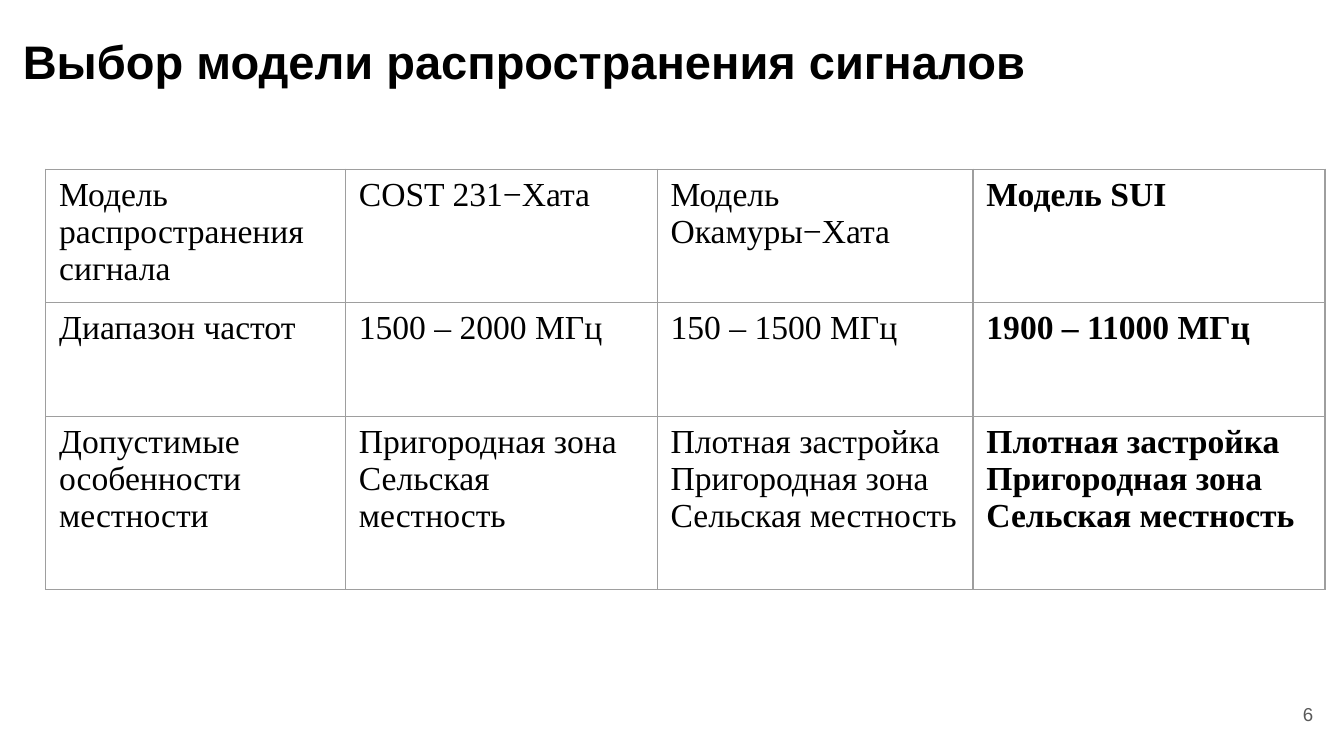
from typing import NamedTuple

from lxml import etree
from pptx import Presentation
from pptx.dml.color import RGBColor
from pptx.enum.text import MSO_ANCHOR, MSO_AUTO_SIZE, PP_ALIGN
from pptx.oxml.ns import qn
from pptx.util import Pt

TOP, MIDDLE = MSO_ANCHOR.TOP, MSO_ANCHOR.MIDDLE
LEFT, RIGHT = PP_ALIGN.LEFT, PP_ALIGN.RIGHT
NO_AUTOFIT = MSO_AUTO_SIZE.NONE
TITLE_ONLY = 5

BLACK, GREY, BORDER, WHITE = "000000", "595959", "9E9E9E", "FFFFFF"
INSET = 7.2
COLUMN_WIDTHS = (160.6, 167, 169.2, 188.6)
ROW_HEIGHTS = (71.3, 61.2, 92.5)


class Style(NamedTuple):
    font: str
    size: float
    color: str
    bold: bool = False


class Model(NamedTuple):
    """One table column; the first one holds the row headings."""
    name: str
    frequencies: str
    terrain: tuple[str, ...]
    chosen: bool = False


TITLE = Style("Arial", 25.2, BLACK, True)
NUMBER = Style("Arial", 10, GREY)
BODY = Style("Times New Roman", 18, BLACK)

SUBURB, RURAL, DENSE = "Пригородная зона", "Сельская местность", "Плотная застройка"
MODELS = (
    Model("Модель распространения сигнала", "Диапазон частот",
          ("Допустимые особенности местности",)),
    Model("COST 231−Хата", "1500 – 2000 МГц", (SUBURB, RURAL)),
    Model("Модель Окамуры−Хата", "150 – 1500 МГц", (DENSE, SUBURB, RURAL)),
    Model("Модель SUI", "1900 – 11000 МГц", (DENSE, SUBURB, RURAL), True),
)


def rgb(value: str) -> RGBColor:
    return RGBColor.from_string(value)


def write(frame, lines: tuple[str, ...], style: Style, align=LEFT) -> None:
    for index, line in enumerate(lines):
        paragraph = frame.paragraphs[0] if index == 0 else frame.add_paragraph()
        paragraph.alignment = align
        run = paragraph.add_run()
        run.text = line
        run.font.name = style.font
        run.font.size = Pt(style.size)
        run.font.bold = style.bold
        run.font.color.rgb = rgb(style.color)


def set_up_frame(frame, anchor) -> None:
    frame.word_wrap = True
    frame.auto_size = NO_AUTOFIT
    frame.vertical_anchor = anchor
    frame.margin_left = frame.margin_right = Pt(INSET)
    frame.margin_top = frame.margin_bottom = Pt(INSET)


def add_borders(cell) -> None:
    properties = cell._tc.get_or_add_tcPr()
    for index, side in enumerate(("a:lnL", "a:lnR", "a:lnT", "a:lnB")):
        line = etree.Element(qn(side), w=str(Pt(0.75)))
        fill = etree.SubElement(line, qn("a:solidFill"))
        etree.SubElement(fill, qn("a:srgbClr"), val=BORDER)
        properties.insert(index, line)


def add_title(slide, wording: str) -> None:
    title = slide.shapes.title
    title.left, title.top, title.width, title.height = Pt(5), Pt(7.2), Pt(671), Pt(45.4)
    set_up_frame(title.text_frame, TOP)
    write(title.text_frame, (wording,), TITLE)
    title.text_frame.paragraphs[0].line_spacing = 1.1


def add_slide_number(slide, number: int) -> None:
    box = slide.shapes.add_textbox(Pt(667.4), Pt(367.2), Pt(43.2), Pt(31))
    set_up_frame(box.text_frame, MIDDLE)
    write(box.text_frame, (str(number),), NUMBER, RIGHT)


def add_model_table(slide, models: tuple[Model, ...]) -> None:
    table = slide.shapes.add_table(
        len(ROW_HEIGHTS), len(models), Pt(24.5), Pt(90.7),
        Pt(sum(COLUMN_WIDTHS)), Pt(sum(ROW_HEIGHTS))).table
    table.first_row = table.horz_banding = False
    for row, height in zip(table.rows, ROW_HEIGHTS):
        row.height = Pt(height)
    for column, (model, width) in enumerate(zip(models, COLUMN_WIDTHS)):
        table.columns[column].width = Pt(width)
        style = BODY._replace(bold=model.chosen)
        contents = ((model.name,), (model.frequencies,), model.terrain)
        for row, lines in enumerate(contents):
            cell = table.cell(row, column)
            cell.fill.solid()
            cell.fill.fore_color.rgb = rgb(WHITE)
            add_borders(cell)
            write(cell.text_frame, lines, style)


def main() -> None:
    deck = Presentation()
    deck.slide_width, deck.slide_height = Pt(720), Pt(405)
    slide = deck.slides.add_slide(deck.slide_layouts[TITLE_ONLY])
    add_title(slide, "Выбор модели распространения сигналов")
    add_model_table(slide, MODELS)
    add_slide_number(slide, 6)
    deck.save("out.pptx")


if __name__ == "__main__":
    main()
